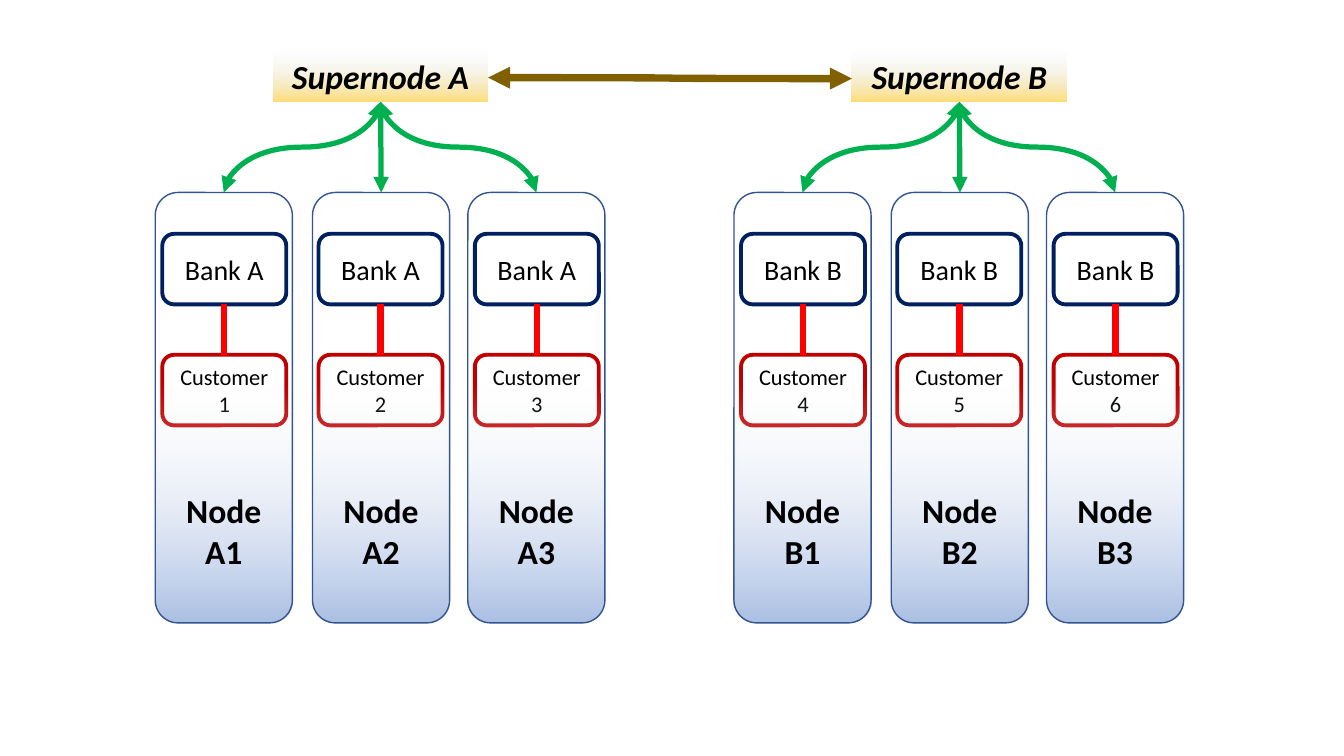
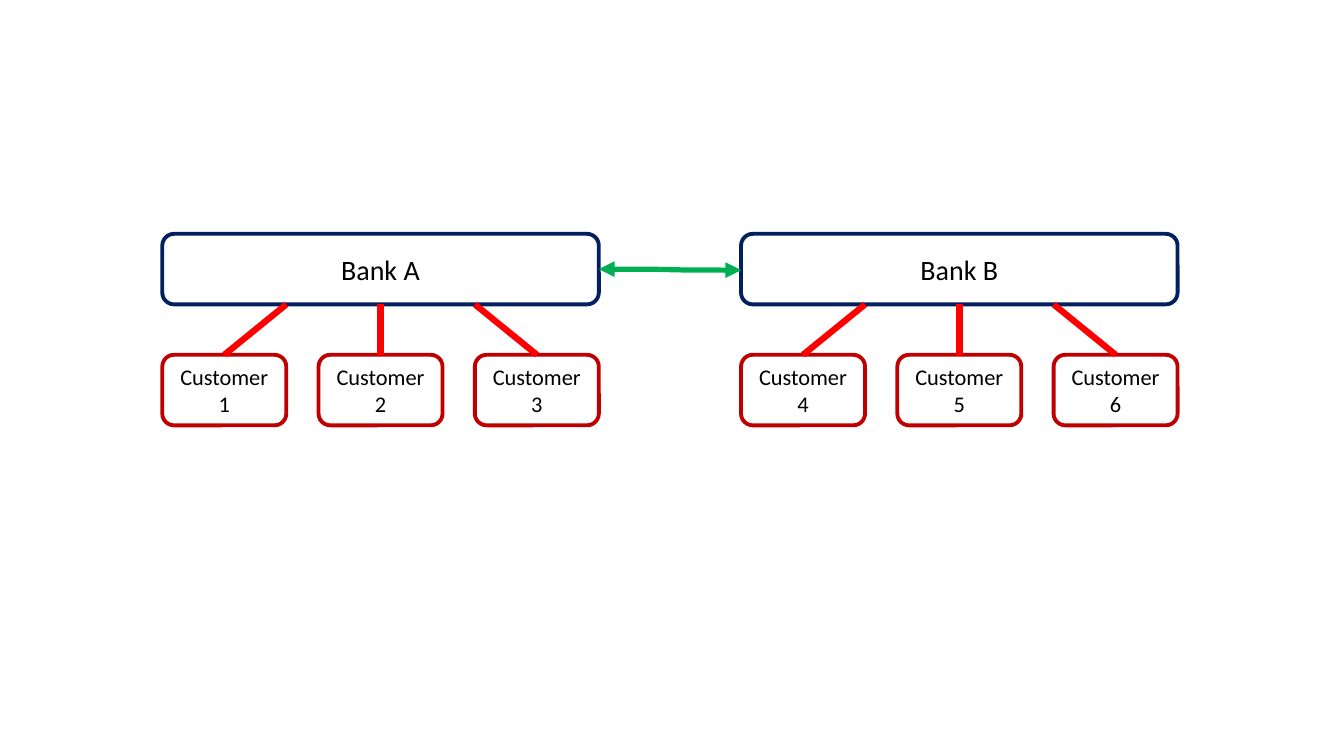
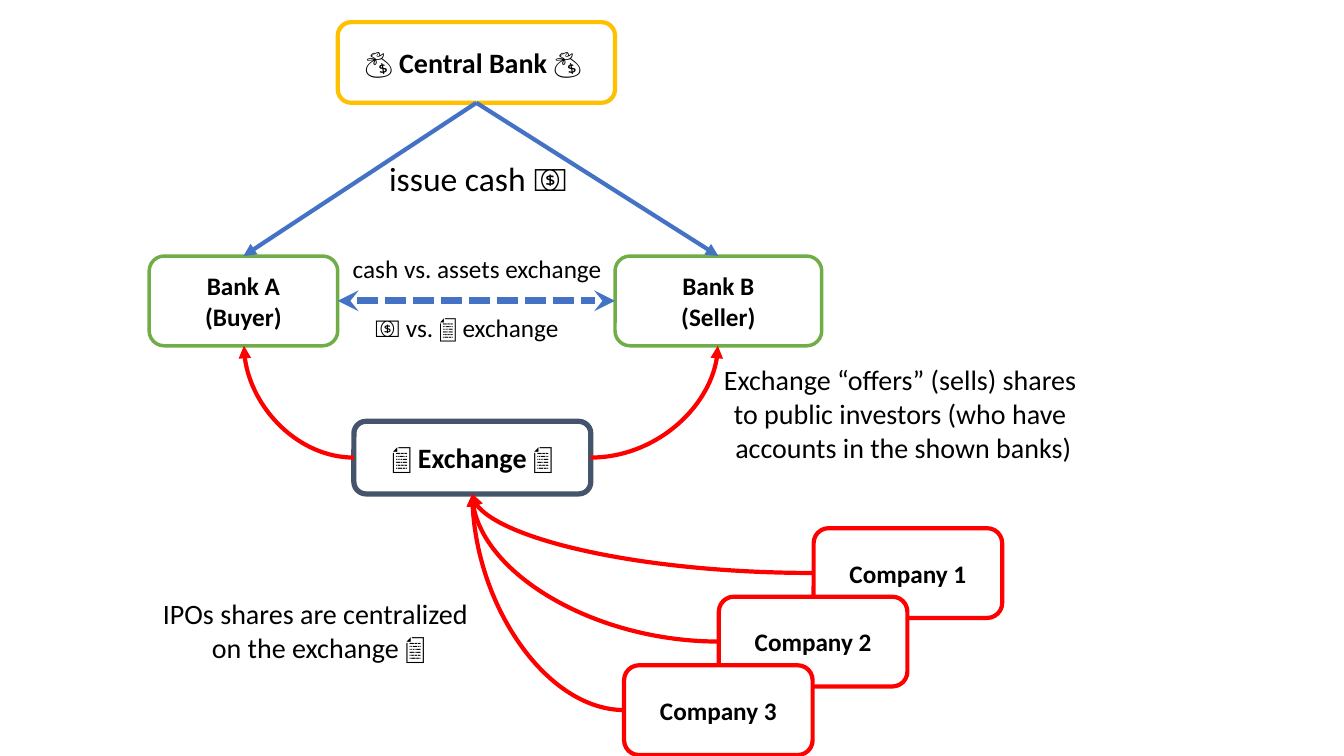
from itertools import groupby

from lxml import etree
from pptx import Presentation
from pptx.dml.color import RGBColor
from pptx.enum.dml import MSO_LINE
from pptx.enum.shapes import MSO_CONNECTOR, MSO_SHAPE
from pptx.enum.text import MSO_ANCHOR, PP_ALIGN
from pptx.oxml.ns import qn
from pptx.util import Inches, Pt

COLORS = {
    "white": "FFFFFF", "black": "000000", "navy": "002060", "crimson": "C00000",
    "red": "FF0000", "green": "00B050", "brown": "806000", "gold": "FFC000",
    "node_line": "325491", "node_top": "F6F8FC", "node_base": "ABC0E4",
    "pale": "C7D5ED", "leaf": "70AD47", "blue": "4472C4", "slate": "44546A",
}
FONT, ICON_FONT, PAGE_ICON = "Calibri", "Arial", "📄"

# Shared layout of the two network slides
GROUP_X = {"A": 1.61, "B": 7.35}
FIRST_CUSTOMER = {"A": 1, "B": 4}
PITCH, BOX_W, BOX_H = 1.55, 1.23, 0.7
BANK_Y, CUSTOMER_Y = 2.32, 3.52
NODE_OFFSETS = (-0.07, 1.49, 3.03)
NODE_Y, NODE_W, NODE_H = 1.91, 1.36, 4.27


def rgb(name):
    return RGBColor.from_string(COLORS[name])


# ---- text and shapes ----
def write(sp, lines, size, bold=False, italic=False, align=PP_ALIGN.CENTER):
    """Write one paragraph per line; page icons get a run in their own font."""
    tf = sp.text_frame
    for i, line in enumerate(lines):
        p = tf.paragraphs[0] if i == 0 else tf.add_paragraph()
        p.alignment = align
        for is_icon, chars in groupby(line, lambda ch: ch == PAGE_ICON):
            r = p.add_run()
            r.text = "".join(chars)
            r.font.name = ICON_FONT if is_icon else FONT
            r.font.size = Pt(size)
            r.font.bold = bold and not is_icon
            r.font.italic = italic
            r.font.color.rgb = rgb("black")


def add_box(slide, x, y, w, h, lines, size, line=None, weight=2.75,
            kind=MSO_SHAPE.ROUNDED_RECTANGLE, anchor=MSO_ANCHOR.MIDDLE, **style):
    sp = slide.shapes.add_shape(kind, Inches(x), Inches(y), Inches(w), Inches(h))
    sp.shadow.inherit = False
    sp.fill.solid()
    sp.fill.fore_color.rgb = rgb("white")
    if line:
        sp.line.color.rgb = rgb(line)
        sp.line.width = Pt(weight)
    else:
        sp.line.fill.background()
    sp.text_frame.vertical_anchor = anchor
    write(sp, lines, size, **style)
    return sp


def add_label(slide, x, y, w, h, lines, size, align=PP_ALIGN.CENTER, wrap=False):
    sp = slide.shapes.add_textbox(Inches(x), Inches(y), Inches(w), Inches(h))
    sp.text_frame.word_wrap = wrap
    write(sp, lines, size, align=align)


def fade(sp, *stops):
    """Vertical gradient; each stop is (position, colour, opacity) in percent."""
    grad = etree.Element(qn("a:gradFill"), rotWithShape="1")
    stop_list = etree.SubElement(grad, qn("a:gsLst"))
    for pos, color, opacity in stops:
        gs = etree.SubElement(stop_list, qn("a:gs"), pos=str(pos * 1000))
        clr = etree.SubElement(gs, qn("a:srgbClr"), val=COLORS[color])
        etree.SubElement(clr, qn("a:alpha"), val=str(opacity * 1000))
    etree.SubElement(grad, qn("a:lin"), ang="5400000", scaled="0")
    props = sp._element.spPr
    props.replace(props.find(qn("a:solidFill")), grad)


# ---- connectors ----
def add_line(slide, start, end, color, weight, head=None, tail=None,
             kind=MSO_CONNECTOR.STRAIGHT):
    cn = slide.shapes.add_connector(kind, *(Inches(v) for v in (*start, *end)))
    cn.line.color.rgb = rgb(color)
    cn.line.width = Pt(weight)
    ln = cn.line._get_or_add_ln()
    for tag, arrow in (("a:headEnd", head), ("a:tailEnd", tail)):
        if arrow:
            etree.SubElement(ln, qn(tag), type=arrow)
    etree.SubElement(cn._element.spPr, qn("a:effectLst"))
    return cn


def join(slide, sp, side, other, other_side, color, weight, **arrows):
    cn = add_line(slide, (0, 0), (1, 1), color, weight, **arrows)
    cn.begin_connect(sp, side)
    cn.end_connect(other, other_side)
    return cn


def add_curve(slide, start, end, color, weight):
    """Double-headed S curve that leaves and arrives horizontally."""
    return add_line(slide, start, end, color, weight, "triangle", "triangle",
                    MSO_CONNECTOR.CURVE)


def add_drop_curve(slide, top, bottom, color, weight):
    """Double-headed S curve that leaves and arrives vertically."""
    (x1, y1), (x2, y2) = top, bottom
    w, h = y2 - y1, abs(x2 - x1)
    left, upper = (x1 + x2 - w) / 2, (y1 + y2 - h) / 2
    cn = add_curve(slide, (left, upper), (left + w, upper + h), color, weight)
    xfrm = cn._element.spPr.find(qn("a:xfrm"))
    if x2 < x1:
        xfrm.set("rot", "5400000")
    else:
        xfrm.set("rot", "16200000")
        xfrm.set("flipH", "1")


def add_bend(slide, start, end):
    """Red quarter curve that leaves sideways and arrives vertically."""
    cn = add_line(slide, start, end, "red", 3, tail="triangle",
                  kind=MSO_CONNECTOR.CURVE)
    cn._element.spPr.find(qn("a:prstGeom")).set("prst", "curvedConnector2")


# ---- network slides ----
def add_bank(slide, x, w, letter):
    return add_box(slide, x, BANK_Y, w, BOX_H, [f"Bank {letter}"], 20, "navy")


def add_customer(slide, x, number):
    return add_box(slide, x, CUSTOMER_Y, BOX_W, BOX_H, [f"Customer {number}"],
                   16, "crimson")


def add_node(slide, x, name):
    node = add_box(slide, x, NODE_Y, NODE_W, NODE_H, [f"Node {name}"], 24,
                   "node_line", 1, anchor=MSO_ANCHOR.BOTTOM, bold=True)
    node.text_frame.margin_bottom = Inches(0.45)
    fade(node, (45, "node_top", 0), (100, "node_base", 100))


def add_supernode_group(slide, x, letter):
    # Bank and customer pairs
    for i in range(3):
        col = x + i * PITCH
        bank = add_bank(slide, col, BOX_W, letter)
        customer = add_customer(slide, col, FIRST_CUSTOMER[letter] + i)
        join(slide, customer, 0, bank, 2, "red", 4.5)
    # Nodes over the pairs, linked to the supernode
    left, y, w, h = x + 1.1, 0.51, 2.13, 0.5
    for i, offset in enumerate(NODE_OFFSETS, 1):
        add_node(slide, x + offset, f"{letter}{i}")
        add_drop_curve(slide, (left + w / 2, y + h),
                       (x + offset + NODE_W / 2, NODE_Y), "green", 3.75)
    supernode = add_box(slide, left, y, w, h, [f"Supernode {letter}"], 24,
                        kind=MSO_SHAPE.RECTANGLE, anchor=MSO_ANCHOR.TOP,
                        bold=True, italic=True)
    fade(supernode, (0, "pale", 0), (100, "gold", 54))
    return left, left + w


def supernode_slide(slide):
    edges = [add_supernode_group(slide, x, k) for k, x in GROUP_X.items()]
    add_curve(slide, (edges[0][1], 0.77), (edges[1][0], 0.78), "brown", 5.25)


def add_bank_group(slide, x, letter):
    width = 2 * PITCH + BOX_W
    bank = add_bank(slide, x, width, letter)
    feet = (x + BOX_W, None, x + 2 * PITCH)
    for i, foot in enumerate(feet):
        customer = add_customer(slide, x + i * PITCH, FIRST_CUSTOMER[letter] + i)
        if foot is None:
            join(slide, customer, 0, bank, 2, "red", 4.5)
        else:
            link = add_line(slide, (foot, CUSTOMER_Y), (foot, BANK_Y + BOX_H),
                            "red", 4.5)
            link.begin_connect(customer, 0)
    return x, x + width


def bank_slide(slide):
    edges = [add_bank_group(slide, x, k) for k, x in GROUP_X.items()]
    add_curve(slide, (edges[0][1], 2.67), (edges[1][0], 2.68), "green", 3.75)


# ---- exchange slide ----
def add_cash_flow(slide):
    central = add_box(slide, 3.35, 0.22, 2.75, 0.8, ["💰 Central Bank 💰 "], 20,
                      "gold", 3, bold=True)
    buyer, seller = [
        add_box(slide, x, 2.54, w, 0.89, lines, 18, "leaf", 2.5, bold=True)
        for x, w, lines in ((1.48, 1.87, ["Bank A", "(Buyer)"]),
                            (6.1, 2.05, ["Bank B", "(Seller)"]))]
    for bank in (buyer, seller):
        join(slide, central, 2, bank, 0, "blue", 3, tail="triangle")
    swap = join(slide, buyer, 3, seller, 1, "blue", 5, head="stealth", tail="stealth")
    swap.line.dash_style = MSO_LINE.SQUARE_DOT
    left = PP_ALIGN.LEFT
    add_label(slide, 3.76, 1.52, 1.98, 0.5, ["issue cash 💵"], 24, left, wrap=True)
    add_label(slide, 3.4, 2.46, 2.69, 0.4, ["cash vs. assets exchange"], 18, left)
    add_label(slide, 3.62, 3.05, 2.12, 0.4, ["💵 vs. 📄 exchange"], 18, left)


def add_share_flow(slide):
    x, y, w, h = 3.51, 4.18, 2.35, 0.72
    add_box(slide, x, y, w, h, ["📄 Exchange 📄"], 20, "slate", 3.75, bold=True)
    # Exchange to banks
    add_bend(slide, (x, y + h / 2), (2.42, 3.43))
    add_bend(slide, (x + w, y + h / 2), (7.12, 3.43))
    # Companies to exchange
    for i in range(3):
        cx, cy, ch = 8.07 - i * 0.94, 5.24 + i * 0.68, 0.89
        add_box(slide, cx, cy, 1.87, ch, [f"Company {i + 1}"], 18, "red", 3, bold=True)
        add_bend(slide, (cx, cy + ch / 2), (x + w / 2, y + h))
    # Explanations
    add_label(slide, 1.48, 5.87, 3.36, 1.08,
              ["IPOs shares are centralized ", "on the exchange 📄"], 20, wrap=True)
    add_label(slide, 7.06, 3.55, 3.8, 1.11,
              ["Exchange “offers” (sells) shares ", "to public investors (who have ",
               "accounts in the shown banks)"], 20)


def exchange_slide(slide):
    add_cash_flow(slide)
    add_share_flow(slide)


def main():
    prs = Presentation()
    prs.slide_width, prs.slide_height = Inches(13.33), Inches(7.5)
    for build in (supernode_slide, bank_slide, exchange_slide):
        build(prs.slides.add_slide(prs.slide_layouts[6]))
    prs.save("out.pptx")


if __name__ == "__main__":
    main()
